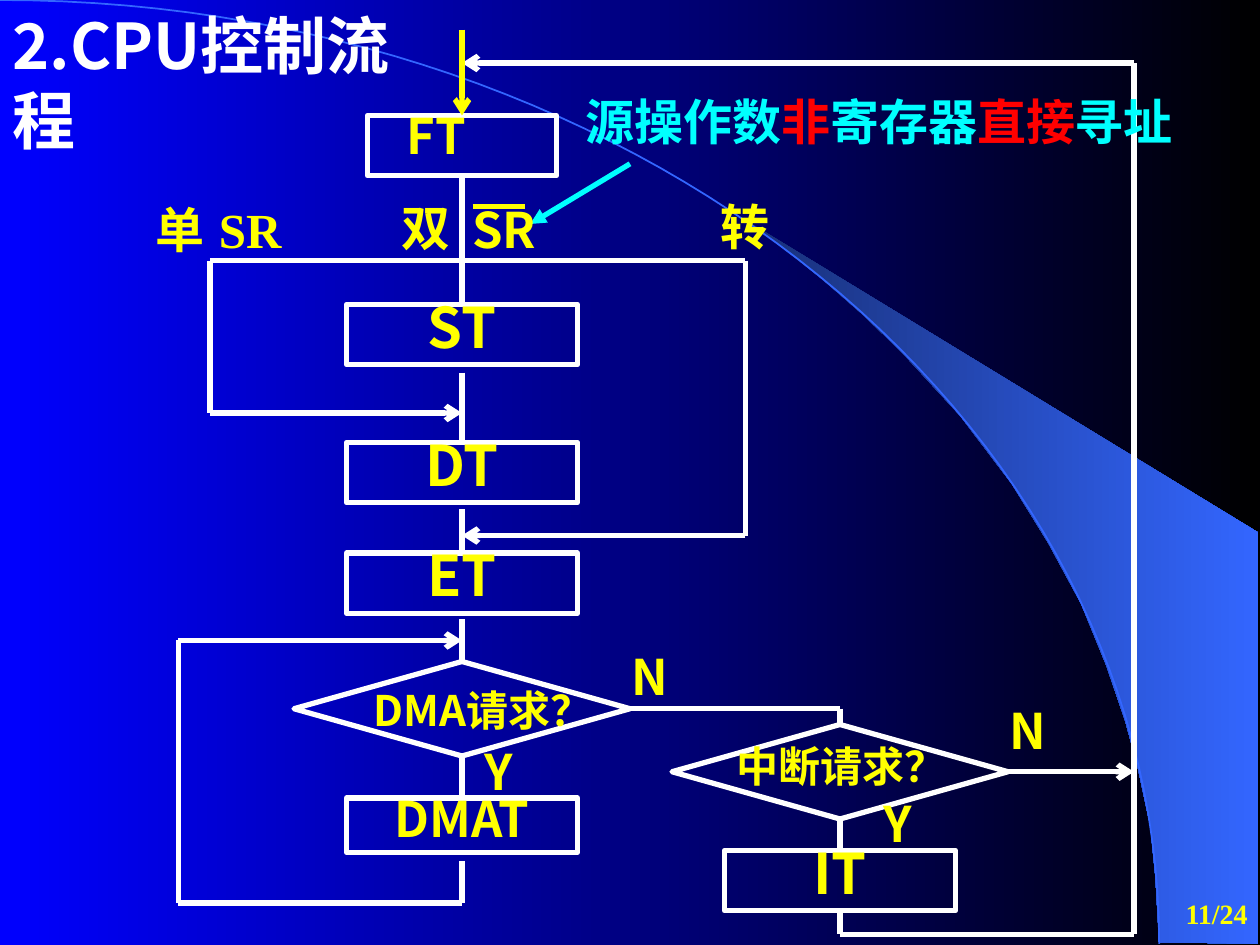
import pptx
import pptx.util
import pptx.dml.color
import pptx.enum.shapes
import pptx.enum.text
import pptx.oxml.ns
import lxml.etree

Pt = pptx.util.Pt
SHAPE = pptx.enum.shapes.MSO_SHAPE
ALIGN = pptx.enum.text.PP_ALIGN
ANCHOR = pptx.enum.text.MSO_ANCHOR
CJK, SERIF = "Noto Sans CJK SC", "Times New Roman"
WHITE, YELLOW, CYAN, RED, BLUE = "FFFFFF", "FFFF00", "00FFFF", "FF0000", "3366FF"
TOP, BOTTOM, RIGHT = 0, 2, 3
MAIN, SIDE, RETURN = 264, 480, 648

STEPS = [
    ("FT", MAIN, 66, 108, 34.5, 28),
    ("ST", MAIN, 174, 132, 34.5, 32),
    ("DT", MAIN, 252.7, 132, 34.5, 32),
    ("ET", MAIN, 316, 132, 34.5, 32),
    ("DMAT", MAIN, 456, 132, 31, 28),
    ("IT", SIDE, 486, 132, 34.5, 32),
]
DECISIONS = [("DMA", MAIN, 378), ("INT", SIDE, 414)]
DECISION_WIDTH, DECISION_HEIGHT = 192, 54

LABELS = [
    ("2.CPU控制流程", 0, 0, 264, 93.6, 36, CJK, WHITE, ALIGN.LEFT),
    ("双", 222.5, 109.5, 72, 41, 28, CJK, YELLOW, ALIGN.LEFT),
    ("单", 82, 110.2, 72, 41, 28, CJK, YELLOW, ALIGN.LEFT),
    ("转", 389.5, 108.7, 72, 41, 28, CJK, YELLOW, ALIGN.CENTER),
    ("SR", 262.8, 110.2, 72, 41, 28, CJK, YELLOW, ALIGN.LEFT),
    ("SR", 118, 110.2, 72, 41, 28, SERIF, YELLOW, ALIGN.LEFT),
    ("DMA请求？", 198, 387.4, 156, 36, 24, CJK, YELLOW, ALIGN.CENTER),
    ("中断请求？", 414, 419.8, 156, 36, 24, CJK, YELLOW, ALIGN.LEFT),
    ("Y", 270, 420, 54, 41, 28, CJK, YELLOW, ALIGN.LEFT),
    ("N", 354, 366, 54, 41, 28, CJK, YELLOW, ALIGN.LEFT),
    ("Y", 498, 450, 54, 41, 28, CJK, YELLOW, ALIGN.LEFT),
    ("N", 570, 396.7, 54, 41, 28, CJK, YELLOW, ALIGN.LEFT),
]
NOTE = [("源操作数", CYAN), ("非", RED), ("寄存器", CYAN), ("直接", RED), ("寻址", CYAN)]

LINKS = [
    ((MAIN, 149), ("ST", TOP)),
    ((MAIN, 213), ("DT", TOP)),
    ((MAIN, 291), ("ET", TOP)),
    ((MAIN, 354), ("DMA", TOP)),
    (("FT", BOTTOM), (MAIN, 149)),
    (("DMA", BOTTOM), ("DMAT", TOP)),
    (("DMA", RIGHT), (SIDE, 405)),
    ((SIDE, 405), ("INT", TOP)),
    (("INT", BOTTOM), ("IT", TOP)),
]
ROUTES = [
    [(120, 149), (426, 149)],
    [(426, 149), (426, 306), (MAIN, 306)],
    [(120, 149), (120, 236), (MAIN, 236)],
    [(MAIN, 492), (MAIN, 516), (102, 516), (102, 366), (MAIN, 366)],
    [("IT", BOTTOM), (SIDE, 534), (RETURN, 534), (RETURN, 36), (MAIN, 36)],
    [("INT", RIGHT), (RETURN, 441)],
]
ACCENTS = [
    ((MAIN, 17), ("FT", TOP), YELLOW, "arrow"),
    ((270, 118), (300, 118), YELLOW, None),
    ((360, 93.6), (303, 128), CYAN, "triangle"),
]
WEDGE = [(9.2, 7.48), (9.99, 7.49), (9.99, 4.23), (5.89, 1.73), (6.24, 1.99), (6.53, 2.22),
         (6.85, 2.5), (7.16, 2.8), (7.62, 3.3), (8.03, 3.84), (8.32, 4.31), (8.58, 4.79),
         (8.78, 5.28), (8.93, 5.72), (9.03, 6.09), (9.13, 6.56), (9.17, 6.96)]
ARC = [(0, 0), (5.08, 0), (9.2, 3.35), (9.2, 7.49)]
ARC_STEPS = 60


def color(value):
    return pptx.dml.color.RGBColor.from_string(value)


def shade(fill, start, end):
    fill.gradient()
    fill.gradient_angle = 0
    for stop, value in zip(fill.gradient_stops, (start, end)):
        stop.color.rgb = color(value)


def style(span, size, font, value):
    span.font.size = Pt(size)
    span.font.name = font
    span.font.bold = True
    span.font.color.rgb = color(value)
    east = lxml.etree.SubElement(span.font._element, pptx.oxml.ns.qn("a:ea"))
    east.set("typeface", CJK)


def add_label(text, left, top, width, height, size, font, value, align):
    box = page.shapes.add_textbox(Pt(left), Pt(top), Pt(width), Pt(height))
    box.text_frame.word_wrap = True
    para = box.text_frame.paragraphs[0]
    para.text = text
    para.alignment = align
    style(para.runs[0], size, font, value)
    return box


def add_outline(kind, center, top, width, height):
    shape = page.shapes.add_shape(kind, Pt(center - width / 2), Pt(top), Pt(width), Pt(height))
    shape.shadow.inherit = False
    shape.fill.background()
    shape.line.color.rgb = color(WHITE)
    shape.line.width = Pt(3)
    return shape


def add_line(start, end, value=WHITE, arrow=None):
    line = page.shapes.add_connector(pptx.enum.shapes.MSO_CONNECTOR.STRAIGHT, 0, 0, 0, 0)
    if isinstance(start[0], str):
        line.begin_connect(nodes[start[0]], start[1])
    else:
        line.begin_x, line.begin_y = Pt(start[0]), Pt(start[1])
    if isinstance(end[0], str):
        line.end_connect(nodes[end[0]], end[1])
    else:
        line.end_x, line.end_y = Pt(end[0]), Pt(end[1])
    line.line.color.rgb = color(value)
    line.line.width = Pt(3)
    if arrow:
        tail = lxml.etree.SubElement(line.line._get_or_add_ln(), pptx.oxml.ns.qn("a:tailEnd"))
        tail.set("type", arrow)
    lxml.etree.SubElement(line._element.spPr, pptx.oxml.ns.qn("a:effectLst"))


def add_outline_path(points, close):
    scaled = [(Pt(x * 72), Pt(y * 72)) for x, y in points]
    builder = page.shapes.build_freeform(*scaled[0])
    builder.add_line_segments(scaled[1:], close=close)
    shape = builder.convert_to_shape()
    shape.shadow.inherit = False
    return shape


def curve_point(t):
    weights = ((1 - t) ** 3, 3 * t * (1 - t) ** 2, 3 * t * t * (1 - t), t ** 3)
    return tuple(sum(w * p[axis] for w, p in zip(weights, ARC)) for axis in (0, 1))


deck = pptx.Presentation()
deck.slide_width, deck.slide_height = Pt(720), Pt(540)
page = deck.slides.add_slide(deck.slide_layouts[6])
shade(page.background.fill, "0000FF", "000000")

wedge = add_outline_path(WEDGE, True)
shade(wedge.fill, "182F76", BLUE)
wedge.line.fill.background()
arc = add_outline_path([curve_point(i / ARC_STEPS) for i in range(ARC_STEPS + 1)], False)
arc.fill.background()
arc.line.color.rgb = color(BLUE)
arc.line.width = Pt(1)

nodes = {}
for name, center, top, width, height, size in STEPS:
    step = nodes[name] = add_outline(SHAPE.RECTANGLE, center, top, width, height)
    step.text_frame.vertical_anchor = ANCHOR.TOP
    para = step.text_frame.paragraphs[0]
    para.text = name
    para.line_spacing = 0.7
    para.alignment = ALIGN.CENTER
    style(para.runs[0], size, CJK, YELLOW)
first = nodes["FT"].text_frame
first.margin_left = Pt(22.5)
first.paragraphs[0].alignment = ALIGN.LEFT
for name, center, top in DECISIONS:
    nodes[name] = add_outline(SHAPE.FLOWCHART_DECISION, center, top, DECISION_WIDTH, DECISION_HEIGHT)

for start, end in LINKS:
    add_line(start, end)
for route in ROUTES:
    for index, (start, end) in enumerate(zip(route, route[1:])):
        last = index == len(route) - 2
        add_line(start, end, arrow="arrow" if last and route is not ROUTES[0] else None)
for accent in ACCENTS:
    add_line(*accent)

for label in LABELS:
    add_label(*label)
number = add_label("11/24", 570, 504, 150, 36, 16, SERIF, YELLOW, ALIGN.RIGHT)
number.text_frame.vertical_anchor = ANCHOR.MIDDLE

note = page.shapes.add_textbox(Pt(327.6), Pt(49), Pt(350), Pt(41))
note.text_frame.word_wrap = False
for text, value in NOTE:
    span = note.text_frame.paragraphs[0].add_run()
    span.text = text
    style(span, 28, SERIF, value)

deck.save("out.pptx")
